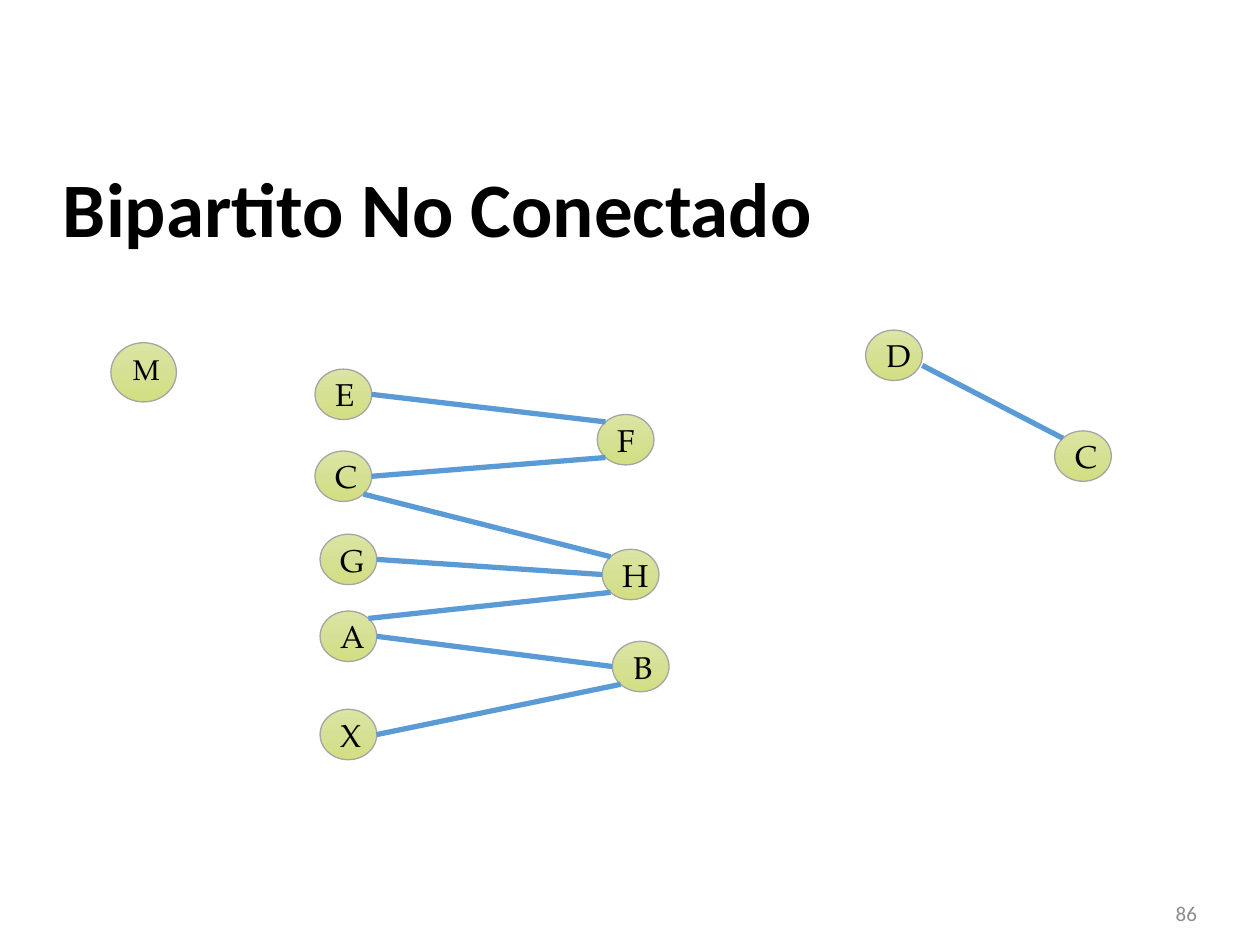
from copy import deepcopy
from math import sqrt

from lxml import etree
from pptx import Presentation
from pptx import util as u
from pptx.dml.color import RGBColor
from pptx.enum import shapes, text
from pptx.oxml import ns

COLORS = {
    "ink": "000000",
    "number": "8C8C8C",
    "edge": "5B9BD5",
    "outline": "A5A5A5",
}
NODE_GRADIENT = [(0, "DCE5A3"), (0.5, "D6E095"), (1, "D4DF81")]
NODE_SIZE = (0.45, 0.4)

# Left and top of each vertex
NODES = {
    "E": (2.5, 2.93), "C": (2.5, 3.58), "G": (2.54, 4.24),
    "A": (2.54, 4.85), "X": (2.54, 5.63),
    "F": (4.74, 3.29), "H": (4.78, 4.36), "B": (4.86, 5.09),
    "D": (6.87, 2.62), "C2": (8.37, 3.42),
}

# Places on a vertex outline, in half widths and half heights from its centre
DIAGONAL = sqrt(0.5)
SITES = {
    "left": (-1, 0),
    "right": (1, 0),
    "right low": (1, 0.4),
    "top left": (-DIAGONAL, -DIAGONAL),
    "top right": (DIAGONAL, -DIAGONAL),
    "bottom left": (-DIAGONAL, DIAGONAL),
    "bottom right": (DIAGONAL, DIAGONAL),
}
EDGES = [
    ("E", "right", "F", "top left"),
    ("C", "right", "F", "bottom left"),
    ("C", "bottom right", "H", "top left"),
    ("G", "right", "H", "left"),
    ("A", "top right", "H", "bottom left"),
    ("A", "right", "B", "left"),
    ("X", "right", "B", "bottom left"),
    ("D", "right low", "C2", "top left"),
]


def rgb(name):
    return RGBColor.from_string(COLORS[name])


def set_values(target, values):
    for name, value in values.items():
        setattr(target, name, value)


def write(shape, words, frame_format, para_format, font_format, color):
    frame = shape.text_frame
    set_values(frame, {"word_wrap": True, **frame_format})
    para = frame.paragraphs[0]
    set_values(para, para_format)
    span = para.add_run()
    span.text = words
    set_values(span.font, font_format)
    span.font.color.rgb = rgb(color)


def add_text(page, place, words, margin_top, para_format, font_format, color):
    box = page.shapes.add_textbox(*map(u.Inches, place))
    frame_format = {
        "margin_left": 0, "margin_right": 0,
        "margin_top": u.Inches(margin_top), "margin_bottom": 0,
        "vertical_anchor": text.MSO_ANCHOR.BOTTOM,
    }
    write(box, words, frame_format, para_format,
          {"name": "Calibri", **font_format}, color)


def fill_gradient(shape):
    fill = shape.fill
    fill.gradient()
    fill.gradient_angle = 270
    stop_list = shape.element.xpath(".//a:gsLst")[0]
    stop_list.insert(1, deepcopy(stop_list[0]))
    for stop, (position, color) in zip(fill.gradient_stops, NODE_GRADIENT):
        stop.position = position
        stop.color.rgb = RGBColor.from_string(color)


def add_node(page, label, corner, size=NODE_SIZE, points=18, spacing=1.0):
    node = page.shapes.add_shape(
        shapes.MSO_SHAPE.OVAL, *map(u.Inches, corner + size))
    node.shadow.inherit = False
    fill_gradient(node)
    node.line.color.rgb = rgb("outline")
    node.line.width = u.Pt(0.75)
    write(node, label,
          {"vertical_anchor": text.MSO_ANCHOR.MIDDLE},
          {"alignment": text.PP_ALIGN.CENTER, "line_spacing": spacing},
          {"name": "TeX Gyre Pagella", "size": u.Pt(points)}, "ink")


def site_point(node, site):
    return [u.Inches(start + length / 2 * (1 + shift))
            for start, length, shift in zip(NODES[node], NODE_SIZE, SITES[site])]


def add_edge(page, start, start_site, end, end_site):
    edge = page.shapes.add_connector(
        shapes.MSO_CONNECTOR.STRAIGHT,
        *site_point(start, start_site), *site_point(end, end_site))
    edge.line.color.rgb = rgb("edge")
    edge.line.width = u.Pt(3)
    etree.SubElement(edge.element.spPr, ns.qn("a:effectLst"))


def main():
    deck = Presentation()
    deck.slide_width, deck.slide_height = u.Inches(10), u.Inches(7.5)
    page = deck.slides.add_slide(deck.slide_layouts[6])

    # Title and page number
    add_text(page, (0.5, 0.77, 9, 1.25), "Bipartito No Conectado", 0.05,
             {"line_spacing": 0.9}, {"size": u.Pt(44), "bold": True}, "ink")
    add_text(page, (8.67, 6.95, 0.83, 0.4), "86", 0,
             {"alignment": text.PP_ALIGN.RIGHT}, {"size": u.Pt(12)}, "number")

    # Vertices, with the isolated one a little larger
    add_node(page, "M", (0.88, 2.72), (0.52, 0.47), 16.2, 0.8)
    for name, corner in NODES.items():
        add_node(page, name[0], corner)

    # Edges of the two connected parts
    for edge in EDGES:
        add_edge(page, *edge)

    deck.save("out.pptx")


if __name__ == "__main__":
    main()
